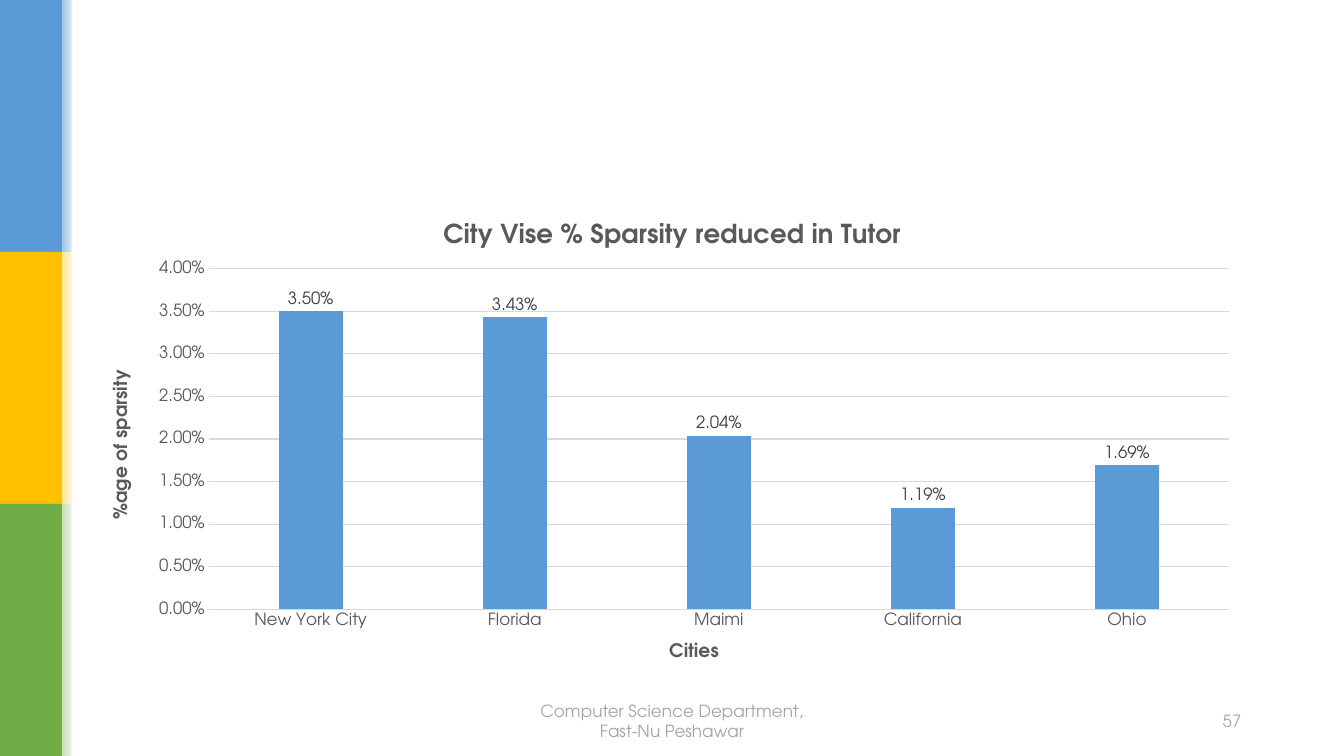
from lxml import etree
from pptx import Presentation
from pptx import util as u
from pptx.chart import data as chart_data
from pptx.dml import color
from pptx.enum import chart as charts, shapes, text
from pptx.oxml import ns

FONT = "TeX Gyre Adventor"
BAND_HEIGHT = 2.5
BANDS = [("5B9BD5", "9DC3E6"), ("FFC000", "FFE699"), ("70AD47", "C5E0B4")]
SPARSITY = {
    "New York City": 0.035,
    "Florida": 0.0343,
    "Maimi": 0.0204,
    "California": 0.0119,
    "Ohio": 0.0169,
}


def rgb(value):
    return color.RGBColor.from_string(value)


class SlideBuilder:
    """Holds the deck style and the current slide, and draws its elements."""

    def __init__(self, page):
        self.page = page
        self.blue = "5B9BD5"
        self.grey = "595959"
        self.grid = "D9D9D9"

    def style(self, font, size, value, bold=False):
        font.name = FONT
        font.size = u.Pt(size)
        font.bold = bold
        font.color.rgb = rgb(value)

    def rectangle(self, left, top, width, height, fill, fade=None):
        box = self.page.shapes.add_shape(
            shapes.MSO_SHAPE.RECTANGLE,
            u.Inches(left), u.Inches(top), u.Inches(width), u.Inches(height))
        box.shadow.inherit = False
        box.line.fill.background()
        if fade is None:
            box.fill.solid()
            box.fill.fore_color.rgb = rgb(fill)
        else:
            box.fill.gradient()
            box.fill.gradient_angle = 0
            for stop, value in zip(box.fill.gradient_stops, (fill, fade)):
                stop.color.rgb = rgb(value)

    def label(self, left, width, words, align):
        box = self.page.shapes.add_textbox(
            u.Inches(left), u.Inches(6.95), u.Inches(width), u.Inches(0.4))
        frame = box.text_frame
        frame.word_wrap = True
        frame.vertical_anchor = text.MSO_ANCHOR.MIDDLE
        para = frame.paragraphs[0]
        para.alignment = align
        span = para.add_run()
        span.text = words
        self.style(span.font, 12, "A5A5A5")

    def title(self, owner, words, size):
        if hasattr(owner, "axis_title"):
            frame = owner.axis_title.text_frame
        else:
            frame = owner.chart_title.text_frame
        span = frame.paragraphs[0].add_run()
        span.text = words
        self.style(span.font, size, self.grey, True)

    def place_plot(self, chart, x, y, w, h):
        area = chart.element.find(".//" + ns.qn("c:plotArea"))
        for old in area.findall(ns.qn("c:layout")):
            area.remove(old)
        layout = etree.Element(ns.qn("c:layout"))
        manual = etree.SubElement(layout, ns.qn("c:manualLayout"))
        settings = [("layoutTarget", "inner"), ("xMode", "edge"), ("yMode", "edge"),
                    ("x", x), ("y", y), ("w", w), ("h", h)]
        for name, value in settings:
            etree.SubElement(manual, ns.qn("c:" + name), val=str(value))
        area.insert(0, layout)

    def column_chart(self, values):
        source = chart_data.CategoryChartData(number_format="0.00%")
        source.categories = list(values)
        source.add_series("Series 1", list(values.values()))
        chart = self.page.shapes.add_chart(
            charts.XL_CHART_TYPE.COLUMN_CLUSTERED,
            u.Inches(0.92), u.Inches(2), u.Inches(11.5), u.Inches(4.76), source).chart
        self.style(chart.font, 10, "000000")
        chart.has_legend = False
        self.title(chart, "City Vise % Sparsity reduced in Tutor", 18.6)
        chart.chart_title.include_in_layout = False
        self.place_plot(chart, 0.1, 0.14, 0.88, 0.71)

        names = {"Cities": chart.category_axis, "%age of sparsity": chart.value_axis}
        for words, axis in names.items():
            axis.major_tick_mark = charts.XL_TICK_MARK.NONE
            axis.minor_tick_mark = charts.XL_TICK_MARK.NONE
            self.style(axis.tick_labels.font, 12, self.grey)
            self.title(axis, words, 13.3)

        scale = chart.value_axis
        scale.minimum_scale, scale.maximum_scale, scale.major_unit = 0, 0.04, 0.005
        scale.tick_labels.number_format = "0.00%"
        scale.tick_labels.number_format_is_linked = False
        scale.format.line.fill.background()
        scale.has_major_gridlines = True
        for line in (scale.major_gridlines.format.line, chart.category_axis.format.line):
            line.color.rgb = rgb(self.grid)
            line.width = u.Pt(0.75)

        plot = chart.plots[0]
        plot.vary_by_categories = False
        plot.gap_width, plot.overlap = 219, -27
        series = plot.series[0]
        series.format.fill.solid()
        series.format.fill.fore_color.rgb = rgb(self.blue)
        labels = series.data_labels
        labels.show_value = True
        labels.position = charts.XL_LABEL_POSITION.OUTSIDE_END
        labels.number_format = "0.00%"
        labels.number_format_is_linked = False
        self.style(labels.font, 12, "404040")


def main():
    deck = Presentation()
    deck.slide_width, deck.slide_height = u.Inches(13.33), u.Inches(7.5)
    builder = SlideBuilder(deck.slides.add_slide(deck.slide_layouts[6]))
    for row, (strong, pale) in enumerate(BANDS):
        top = row * BAND_HEIGHT
        builder.rectangle(0, top, 0.62, BAND_HEIGHT, strong)
        builder.rectangle(0.62, top, 0.16, BAND_HEIGHT, pale, "FFFFFF")
    builder.rectangle(0.71, 0, 0.05, 7.5, "FFFFFF")
    builder.column_chart(SPARSITY)
    builder.label(5.08, 3.17, "Computer Science Department, Fast-Nu Peshawar",
                  text.PP_ALIGN.CENTER)
    builder.label(8.83, 3.58, "57", text.PP_ALIGN.RIGHT)
    deck.save("out.pptx")


if __name__ == "__main__":
    main()
